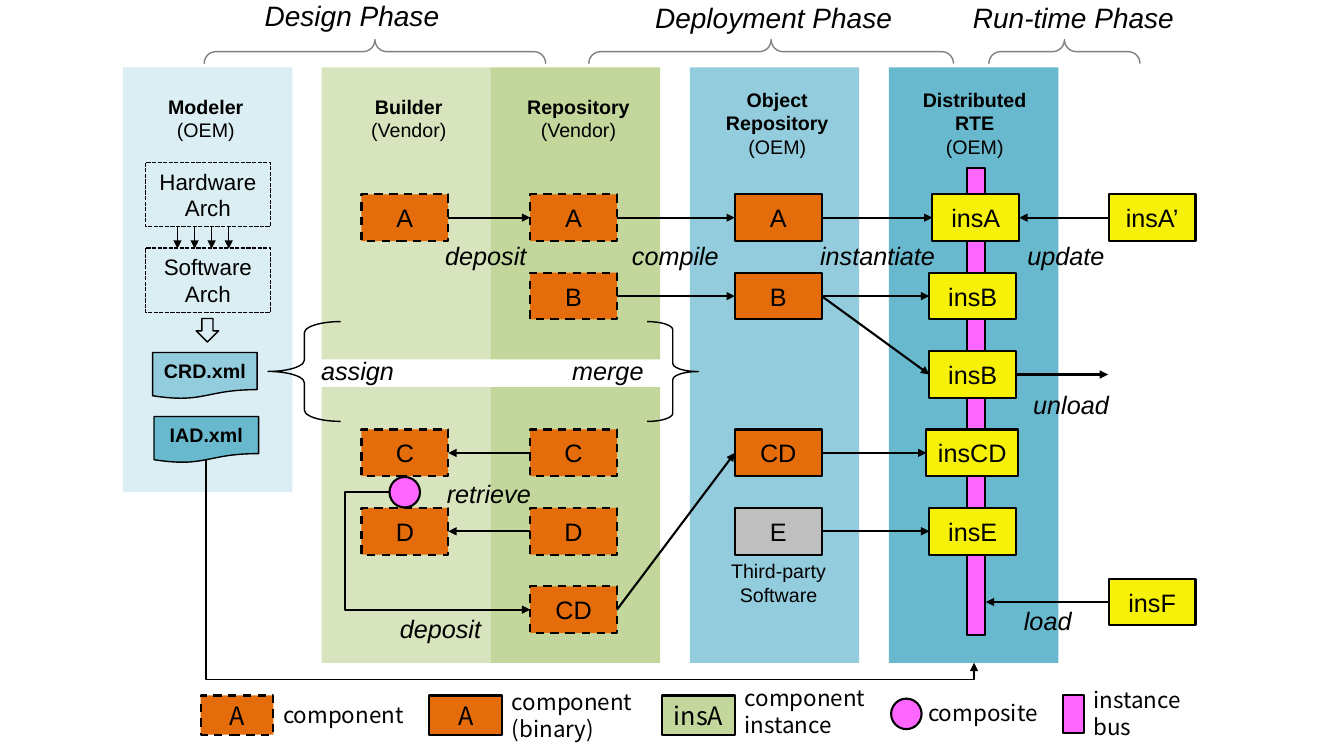
from dataclasses import dataclass

from lxml.etree import SubElement
from pptx import Presentation
from pptx.dml.color import RGBColor
from pptx.enum.dml import MSO_LINE
from pptx.enum.shapes import MSO_CONNECTOR, MSO_SHAPE
from pptx.enum.text import MSO_ANCHOR, PP_ALIGN
from pptx.oxml.ns import qn
from pptx.util import Pt

TOP, LEFT, BOTTOM, RIGHT = 0, 1, 2, 3


@dataclass(frozen=True)
class Theme:
    """Colours, fonts and sizes of the diagram."""
    ink: str = "000000"
    brace: str = "808080"
    modeler: str = "DBEEF4"
    builder: str = "D7E4BD"
    repository: str = "C3D69B"
    objects: str = "93CDDD"
    runtime: str = "68B8CE"
    component: str = "E46C0A"
    instance: str = "F7F109"
    external: str = "BFBFBF"
    bus: str = "FF66FF"
    font: str = "Arial"
    legend_font: str = "Noto Sans CJK SC"
    phase: int = 20
    body: int = 18
    medium: int = 16
    small: int = 14
    thick: float = 1.5
    thin: float = 1


THEME = Theme()


def write(frame, text, size=THEME.body, font=THEME.font, bold=False, italic=False,
          align=PP_ALIGN.CENTER, plain_last=False):
    """Fill a text frame, one paragraph for each line of text."""
    frame.word_wrap = True
    lines = text.split("\n")
    for index, line in enumerate(lines):
        paragraph = frame.paragraphs[0] if index == 0 else frame.add_paragraph()
        paragraph.text = line
        paragraph.alignment = align
        for run in paragraph.runs:
            run.font.name = font
            run.font.size = Pt(size)
            run.font.bold = bold and not (plain_last and index == len(lines) - 1)
            run.font.italic = italic
            run.font.color.rgb = RGBColor.from_string(THEME.ink)


def label(slide, box, text, **style):
    """Add a text box."""
    write(slide.shapes.add_textbox(*map(Pt, box)).text_frame, text, **style)


def block(slide, box, fill=None, text="", kind=MSO_SHAPE.RECTANGLE, width=THEME.thick,
          line=THEME.ink, dash=None, **style):
    """Add a preset shape with centred text."""
    shape = slide.shapes.add_shape(kind, *map(Pt, box))
    shape.shadow.inherit = False
    if fill:
        shape.fill.solid()
        shape.fill.fore_color.rgb = RGBColor.from_string(fill)
    else:
        shape.fill.background()
    if width:
        shape.line.color.rgb = RGBColor.from_string(line)
        shape.line.width = Pt(width)
        if dash:
            shape.line.dash_style = dash
    else:
        shape.line.fill.background()
    if text:
        frame = shape.text_frame
        frame.margin_left = frame.margin_right = Pt(0)
        frame.vertical_anchor = MSO_ANCHOR.MIDDLE
        write(frame, text, **style)
    return shape


def brace(slide, box, rotation=0, curl=0.156, line=THEME.ink):
    """Add a curly brace."""
    shape = block(slide, box, kind=MSO_SHAPE.LEFT_BRACE, width=THEME.thin, line=line)
    shape.adjustments[0] = curl
    shape.rotation = rotation


def arrow(slide, ends, kind=MSO_CONNECTOR.STRAIGHT, width=THEME.thick):
    """Add a connector with an arrowhead at its end."""
    connector = slide.shapes.add_connector(kind, *map(Pt, ends))
    connector.line.color.rgb = RGBColor.from_string(THEME.ink)
    connector.line.width = Pt(width)
    properties = connector.element.spPr
    SubElement(properties.find(qn("a:ln")), qn("a:tailEnd"), type="triangle")
    SubElement(properties, qn("a:effectLst"))
    return connector


def elbow(slide, ends, bend, width=THEME.thick, turned=False):
    """Add a bent arrow, bend being the middle segment's place in thousandths of a percent."""
    properties = arrow(slide, ends, MSO_CONNECTOR.ELBOW, width).element.spPr
    guides = properties.find(qn("a:prstGeom")).find(qn("a:avLst"))
    SubElement(guides, qn("a:gd"), name="adj1", fmla=f"val {bend}")
    if turned:
        transform = properties.find(qn("a:xfrm"))
        transform.set("rot", "16200000")
        transform.set("flipH", "1")


def link(slide, source, target, sides=(RIGHT, LEFT)):
    """Join the sides of two blocks by an arrow."""
    connector = arrow(slide, (0, 0, 0, 0))
    connector.begin_connect(source, sides[0])
    connector.end_connect(target, sides[1])


def row_top(row):
    """Return the top of a row of blocks."""
    return 138.8 + 56 * row


def add_columns(slide):
    """Draw the coloured columns, their headings and the phases above."""
    for left, top, height, fill in (
            (87.8, 48.2, 303.3, THEME.modeler),
            (229.7, 48.2, 208.5, THEME.builder), (229.7, 276.5, 197, THEME.builder),
            (350.6, 48.2, 208.5, THEME.repository), (350.6, 276.5, 197, THEME.repository),
            (492.7, 48.2, 425.3, THEME.objects), (635, 48.2, 425.3, THEME.runtime)):
        block(slide, (left, top, 121, height), fill, width=0)
    for left, top, heading in (
            (87, 64.1, "Modeler\n(OEM)"), (232, 64.1, "Builder\n(Vendor)"),
            (353.2, 64.1, "Repository\n(Vendor)"), (495.2, 59, "Object\nRepository\n(OEM)"),
            (636.2, 59, "Distributed\nRTE\n(OEM)")):
        label(slide, (left, top, 120, 41), heading, size=THEME.small, bold=True, plain_last=True)
    for phase, center, top, brace_center, span in (
            ("Design Phase", 251.4, -4.3, 267.8, 244),
            ("Deployment Phase", 552.6, -2.9, 550.8, 260.6),
            ("Run-time Phase", 766.8, -2.9, 760.3, 108)):
        label(slide, (center - 110, top, 220, 31.7), phase, size=THEME.phase, italic=True)
        brace(slide, (brace_center - 8.6, 36.9 - span / 2, 17.2, span), 90, 0.483, THEME.brace)


def add_modeler(slide):
    """Draw the architectures and the files made from them."""
    for top, text in ((115.9, "Hardware\nArch"), (177.1, "Software\nArch")):
        block(slide, (103.9, top, 89.2, 46), text=text, size=THEME.medium,
              width=THEME.thin, dash=MSO_LINE.SQUARE_DOT)
    for step in range(4):
        x = 126.8 + 12.2 * step
        arrow(slide, (x, 161.5, x, 177.6), width=THEME.thin)
    block(slide, (140.2, 227.5, 16, 16.8), kind=MSO_SHAPE.DOWN_ARROW, width=THEME.thin)
    for left, top, fill, text in ((109, 251.8, THEME.objects, "CRD.xml"),
                                  (110, 297.5, THEME.runtime, "IAD.xml")):
        block(slide, (left, top, 74.7, 33.1), fill, text, MSO_SHAPE.FLOWCHART_DOCUMENT,
              THEME.thin, size=THEME.small, bold=True)
    elbow(slide, (349.1, 126.7, 493.8, 675.3), 108300, THEME.thin, turned=True)
    brace(slide, (191.5, 229.7, 51.8, 71.3))
    brace(slide, (462.2, 229.7, 36.7, 71.3), 180)


def add_flow(slide):
    """Draw the components, their instances and the arrows between them."""
    block(slide, (690.6, 120.2, 13, 333.2), THEME.bus)
    source = {(name, row): block(slide, (258.2, row_top(row), 62, 33.4), THEME.component, name,
                                 dash=MSO_LINE.DASH)
              for name, row in (("A", 0), ("C", 3), ("D", 4))}
    stored = {(name, row): block(slide, (378.7, row_top(row), 62, 33.4), THEME.component, name,
                                 dash=MSO_LINE.DASH)
              for name, row in (("A", 0), ("B", 1), ("C", 3), ("D", 4), ("CD", 5))}
    binary = {name: block(slide, (524.9, row_top(row), 62, 33.4), fill, name)
              for name, row, fill in (("A", 0, THEME.component), ("B", 1, THEME.component),
                                      ("CD", 3, THEME.component), ("E", 4, THEME.external))}
    running = [block(slide, (left, row_top(row), width, 33.4), THEME.instance, name)
               for row, (name, left, width) in enumerate((
                   ("insA", 666, 62), ("insB", 663.8, 62), ("insB", 663.8, 62),
                   ("insCD", 661.7, 65.5), ("insE", 663.8, 62)))]
    update, loaded = [block(slide, (792, top, 62, 33.4), THEME.instance, name)
                      for name, top in (("insA’", row_top(0)), ("insF", 413.3))]
    block(slide, (278.2, 340.7, 21.8, 21.8), THEME.bus, kind=MSO_SHAPE.OVAL)

    for start, end in ((source["A", 0], stored["A", 0]), (stored["A", 0], binary["A"]),
                       (stored["B", 1], binary["B"]), (stored["CD", 5], binary["CD"]),
                       (binary["A"], running[0]), (binary["B"], running[1]),
                       (binary["B"], running[2]), (binary["CD"], running[3]),
                       (binary["E"], running[4])):
        link(slide, start, end)
    for start, end in ((stored["C", 3], source["C", 3]), (stored["D", 4], source["D", 4]),
                       (update, running[0])):
        link(slide, start, end, (LEFT, RIGHT))
    arrow(slide, (725.8, 267.5, 791.5, 267.5)).begin_connect(running[2], RIGHT)
    arrow(slide, (792, 430, 704.2, 430)).begin_connect(loaded, LEFT)
    elbow(slide, (278.2, 351.6, 378.7, 435.5), -31600)

    for text, center, top in (
            ("deposit", 347, 167.8), ("retrieve", 349.2, 338.4), ("compile", 482.4, 167.8),
            ("instantiate", 626.8, 167.8), ("update", 761.4, 168.2), ("unload", 765, 274.3),
            ("load", 748.4, 429.1), ("deposit", 314.6, 434.2), ("assign", 255.4, 250.6),
            ("merge", 434.2, 250.6)):
        label(slide, (center - 56, top, 112, 28.8), text, italic=True)
    label(slide, (509, 396, 94.3, 41), "Third-party\nSoftware", size=THEME.small)


def add_legend(slide):
    """Draw the key below the columns."""
    for left, fill, name, dash in ((143.3, THEME.component, "A", MSO_LINE.DASH),
                                   (306.7, THEME.component, "A", None),
                                   (473, THEME.repository, "insA", None)):
        block(slide, (left, 496.8, 52, 28), fill, name, dash=dash, font=THEME.legend_font)
    block(slide, (636.5, 499, 21.8, 21.8), THEME.bus, kind=MSO_SHAPE.OVAL)
    block(slide, (759.4, 496.3, 14.8, 27.2), THEME.bus)
    for left, top, width, text in (
            (195.1, 497.5, 124.6, "component"), (358.6, 488.2, 109.4, "component\n(binary)"),
            (524.9, 485.3, 136.8, "component\ninstance"), (655.9, 496.1, 97.9, "composite"),
            (774, 486.7, 86.4, "instance\vbus")):
        label(slide, (left, top, width, 26.6), text, size=THEME.medium,
              font=THEME.legend_font, align=PP_ALIGN.LEFT)


def main():
    """Build the slide and save it."""
    deck = Presentation()
    deck.slide_width, deck.slide_height = Pt(960), Pt(540)
    slide = deck.slides.add_slide(deck.slide_layouts[6])
    for draw in (add_columns, add_modeler, add_flow, add_legend):
        draw(slide)
    deck.save("out.pptx")


if __name__ == "__main__":
    main()
